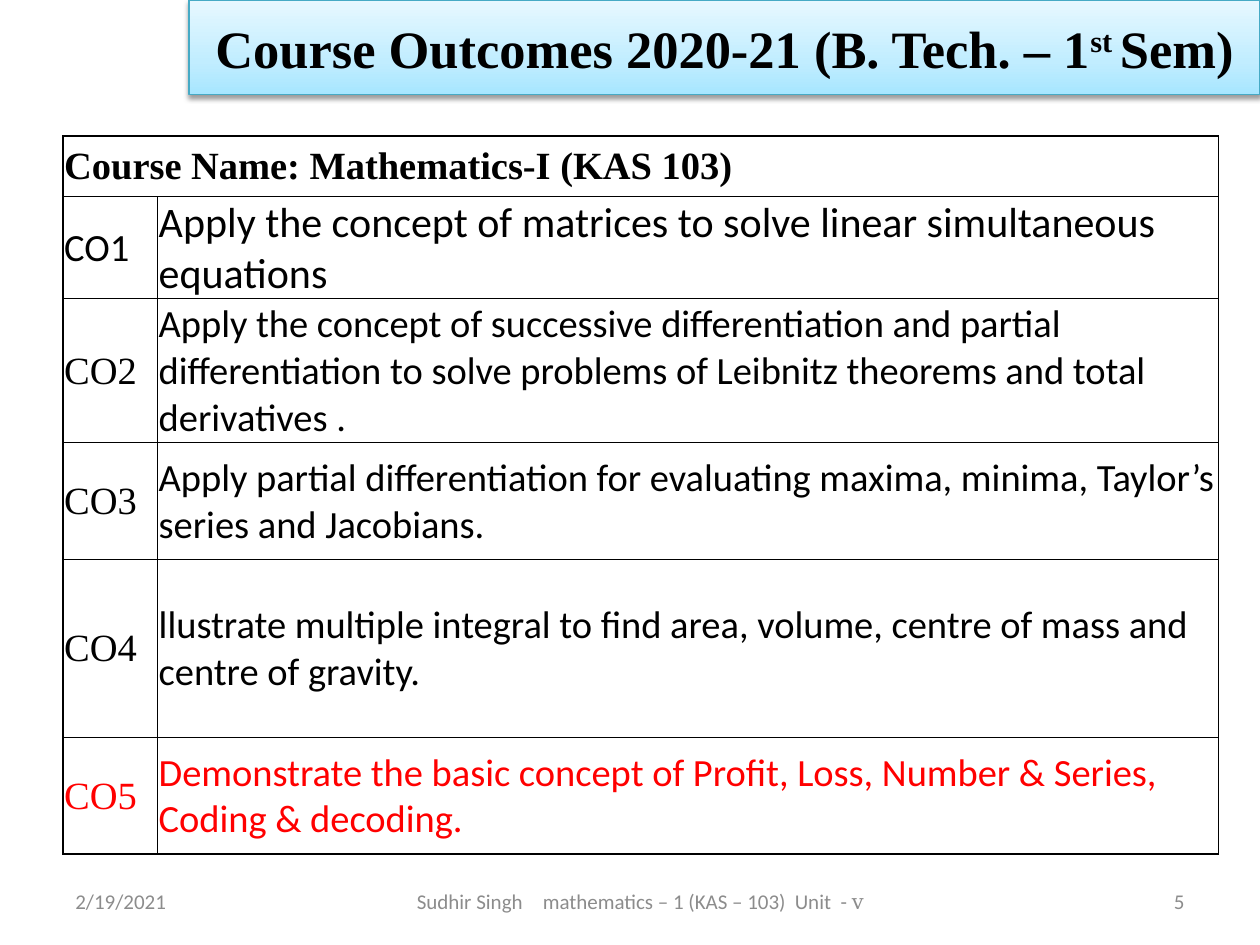
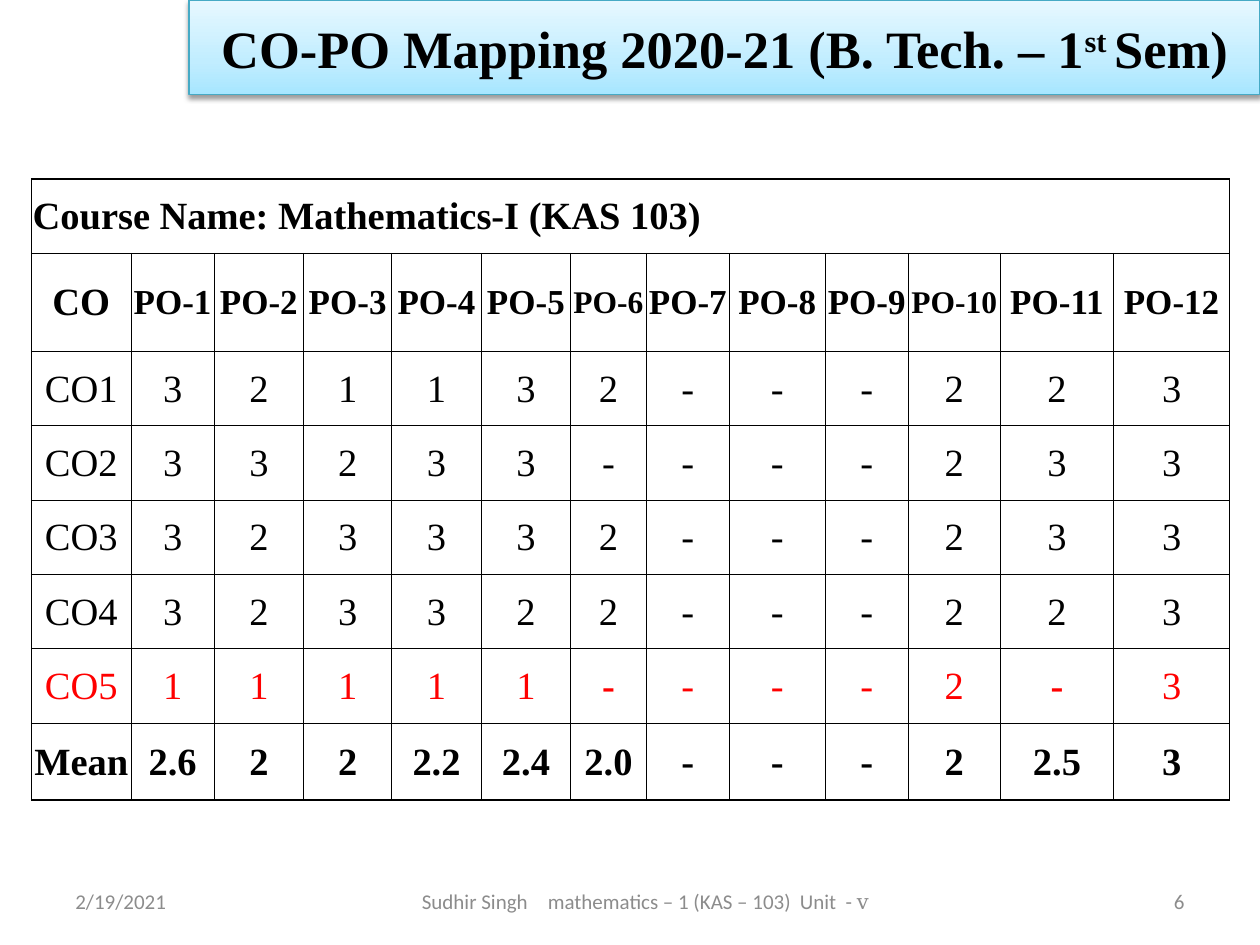
from copy import deepcopy

from lxml import etree
from pptx import Presentation
from pptx.dml.color import RGBColor
from pptx.enum.text import MSO_ANCHOR, MSO_AUTO_SIZE, PP_ALIGN
from pptx.oxml.ns import qn
from pptx.util import Inches, Pt

LEFT, CENTER, RIGHT = PP_ALIGN.LEFT, PP_ALIGN.CENTER, PP_ALIGN.RIGHT
MIDDLE = MSO_ANCHOR.MIDDLE
NO_AUTOFIT = MSO_AUTO_SIZE.NONE

SERIF, SANS = "Times New Roman", "Calibri"
BLACK, RED, GREY, BAND_LINE = "000000", "FF0000", "8C8C8C", "46AAC5"
BAND_STOPS = [(0, "A7E6FF"), (0.35, "C1EDFF"), (1, "E7F8FF")]
BAND_BOX = (1.5, 0, 8.5, 0.75)

TITLE_FORMAT = {"name": SERIF, "size": 30, "color": BLACK, "bold": True}
FOOTER_FORMAT = {"name": SANS, "size": 12, "color": GREY}
NUMERAL_FORMAT = {**FOOTER_FORMAT, "name": SERIF}
CELL_FORMAT = {"name": SERIF, "size": 22, "color": BLACK, "bold": False}
BOLD_CELL = {**CELL_FORMAT, "bold": True}

DATE = "2/19/2021"
FOOTER_PARTS = ["Sudhir Singh", "mathematics – 1 (KAS – 103)", "Unit  - "]
FOOTER_NUMERAL = "ⅴ"
COURSE_NAME = "Course Name: Mathematics-I (KAS 103)"

OUTCOMES_PAGE = {
    "title": "Course Outcomes 2020-21 (B. Tech. – 1",
    "number": "5",
    "footer_starts": [3.31, 4.6, 7.13],
    "corner": (0.5, 1.08),
    "columns": [0.75, 8.42],
    "rows": [0.48, 0.76, 1.14, 0.93, 1.41, 0.93],
    "align": LEFT,
}
OUTCOMES = [
    "Apply the concept of matrices to solve linear simultaneous equations",
    "Apply the concept of successive differentiation and partial differentiation "
    "to solve problems of Leibnitz theorems and total derivatives .",
    "Apply partial differentiation for evaluating maxima, minima, Taylor’s series "
    "and Jacobians.",
    "llustrate multiple integral to find area, volume, centre of mass and centre "
    "of gravity.",
    "Demonstrate the basic concept of Profit, Loss, Number & Series, Coding & "
    "decoding.",
]

MAPPING_PAGE = {
    "title": "CO-PO Mapping 2020-21 (B. Tech. – 1",
    "number": "6",
    "footer_starts": [3.35, 4.56, 7.1],
    "corner": (0.25, 1.42),
    "columns": [0.79, 0.66, 0.71, 0.7, 0.71, 0.71, 0.6,
                0.66, 0.76, 0.66, 0.73, 0.9, 0.92],
    "rows": [0.59, 0.78] + [0.59] * 5 + [0.61],
    "align": CENTER,
}
MAPPING = [
    ("CO1", "3 2 1 1 3 2 - - - 2 2 3"),
    ("CO2", "3 3 2 3 3 - - - - 2 3 3"),
    ("CO3", "3 2 3 3 3 2 - - - 2 3 3"),
    ("CO4", "3 2 3 3 2 2 - - - 2 2 3"),
    ("CO5", "1 1 1 1 1 - - - - 2 - 3"),
    ("Mean", "2.6 2 2 2.2 2.4 2.0 - - - 2 2.5 3"),
]
NARROW_HEADS = ("PO-6", "PO-10")
BOLD_DASHES = [("CO5", 6), ("CO5", 11)]


def color(code):
    """Turn a hex string into a colour."""
    return RGBColor.from_string(code)


def add_span(para, text, style):
    """Add a run of text in the given format."""
    span = para.add_run()
    span.text = text
    for key, value in style.items():
        if key == "color":
            span.font.color.rgb = color(value)
        else:
            setattr(span.font, key, Pt(value) if key == "size" else value)
    return span


def place(shape, box):
    """Put a shape at left, top, width, height in inches."""
    for key, value in zip(("left", "top", "width", "height"), box):
        setattr(shape, key, Inches(value))


def add_title(page, text):
    """Turn the title placeholder into the gradient band with its shadow."""
    title = page.shapes.title
    place(title, BAND_BOX)
    title.fill.gradient()
    title.fill.gradient_angle = 90
    stop_list = title.element.find(".//" + qn("a:gsLst"))
    stop_list.append(deepcopy(stop_list[0]))
    for stop, (position, code) in zip(title.fill.gradient_stops, BAND_STOPS):
        stop.position = position
        stop.color.rgb = color(code)
    title.line.color.rgb = color(BAND_LINE)
    title.line.width = Pt(0.75)

    effects = etree.SubElement(title.element.spPr, qn("a:effectLst"))
    shadow = etree.SubElement(effects, qn("a:outerShdw"), blurRad=str(Pt(3.1)),
                              dist=str(Pt(1.6)), dir="5400000", rotWithShape="0")
    shade = etree.SubElement(shadow, qn("a:srgbClr"), val=BLACK)
    etree.SubElement(shade, qn("a:alpha"), val="38000")

    frame = title.text_frame
    frame.auto_size = NO_AUTOFIT
    frame.vertical_anchor = MIDDLE
    para = frame.paragraphs[0]
    para.alignment = CENTER
    add_span(para, text, TITLE_FORMAT)
    raised = add_span(para, "st ", TITLE_FORMAT)
    raised.font._element.set("baseline", "30000")
    add_span(para, "Sem)", TITLE_FORMAT)


def add_footer_box(page, left, width, text, align):
    """Add one footer text box and return its paragraph."""
    box = page.shapes.add_textbox(*map(Inches, (left, 6.95, width, 0.4)))
    box.text_frame.word_wrap = True
    box.text_frame.vertical_anchor = MIDDLE
    para = box.text_frame.paragraphs[0]
    para.alignment = align
    add_span(para, text, FOOTER_FORMAT)
    return para


def add_footers(page, number, starts):
    """Add date, course line with tab stops, and page number."""
    add_footer_box(page, 0.5, 2.33, DATE, LEFT)
    para = add_footer_box(page, 2.75, 5.5, "\t".join(FOOTER_PARTS), LEFT)
    add_span(para, FOOTER_NUMERAL, NUMERAL_FORMAT)
    first, *stops = [Inches(start - 2.85) for start in starts]
    settings = para._p.get_or_add_pPr()
    settings.set("marL", str(first))
    settings.set("indent", "0")
    tabs = etree.SubElement(settings, qn("a:tabLst"))
    for stop in stops:
        etree.SubElement(tabs, qn("a:tab"), pos=str(stop), algn="l")
    add_footer_box(page, 7.17, 2.33, number, RIGHT)


def set_borders(cell, outer_sides):
    """Draw 1 pt lines on the outer sides and 0.5 pt lines elsewhere."""
    settings = cell._tc.get_or_add_tcPr()
    for side in "LRTB":
        width = Pt(1 if side in outer_sides else 0.5)
        line = etree.SubElement(settings, qn("a:ln" + side), w=str(width))
        fill = etree.SubElement(line, qn("a:solidFill"))
        etree.SubElement(fill, qn("a:srgbClr"), val=BLACK)


def add_grid(page, layout, cells):
    """Add a table whose first row is the merged course name."""
    columns, rows = layout["columns"], layout["rows"]
    size = (sum(columns), sum(rows))
    table = page.shapes.add_table(len(rows), len(columns),
                                  *map(Inches, layout["corner"] + size)).table
    table.first_row = table.horz_banding = False
    for column, width in zip(table.columns, columns):
        column.width = Inches(width)
    for row, height in zip(table.rows, rows):
        row.height = Inches(height)
    table.cell(0, 0).merge(table.cell(0, len(columns) - 1))

    last_row, last_column = len(rows) - 1, len(columns) - 1
    for r in range(len(rows)):
        for c in range(len(columns)):
            cell = table.cell(r, c)
            edges = {"L": c == 0, "R": c == last_column or r == 0,
                     "T": r == 0, "B": r == last_row}
            set_borders(cell, [side for side, outer in edges.items() if outer])
            cell.fill.background()
            cell.vertical_anchor = MIDDLE
            cell.margin_left = cell.margin_right = cell.margin_top = Inches(0.01)
            cell.margin_bottom = 0
            if r:
                para = cell.text_frame.paragraphs[0]
                para.alignment = layout["align"]
                add_span(para, *cells[r - 1][c])
    add_span(table.cell(0, 0).text_frame.paragraphs[0], COURSE_NAME, BOLD_CELL)


def outcome_cells():
    """Return text and format of every outcome row."""
    cells = []
    for index, text in enumerate(OUTCOMES, 1):
        label = {**CELL_FORMAT, "color": RED if index == 5 else BLACK}
        body = {**label, "name": SANS}
        if index == 1:
            label = body
            body = {**body, "size": 24}
        cells.append([(f"CO{index}", label), (text, body)])
    return cells


def mapping_cells():
    """Return text and format of the heading and every mapping row."""
    heads = [f"PO-{index}" for index in range(1, 13)]
    cells = [[("CO", BOLD_CELL)] + [
        (head, {**BOLD_CELL, "size": 18 if head in NARROW_HEADS else 20})
        for head in heads]]
    for name, values in MAPPING:
        row = []
        for index, text in enumerate([name] + values.split()):
            bold = name == "Mean" or (name, index) in BOLD_DASHES
            row.append((text, {**CELL_FORMAT, "bold": bold,
                               "color": RED if name == "CO5" else BLACK}))
        cells.append(row)
    return cells


deck = Presentation()
deck.slide_width, deck.slide_height = Inches(10), Inches(7.5)
for layout, cells in ((OUTCOMES_PAGE, outcome_cells()),
                      (MAPPING_PAGE, mapping_cells())):
    page = deck.slides.add_slide(deck.slide_layouts[5])
    add_title(page, layout["title"])
    add_footers(page, layout["number"], layout["footer_starts"])
    add_grid(page, layout, cells)
deck.save("out.pptx")
